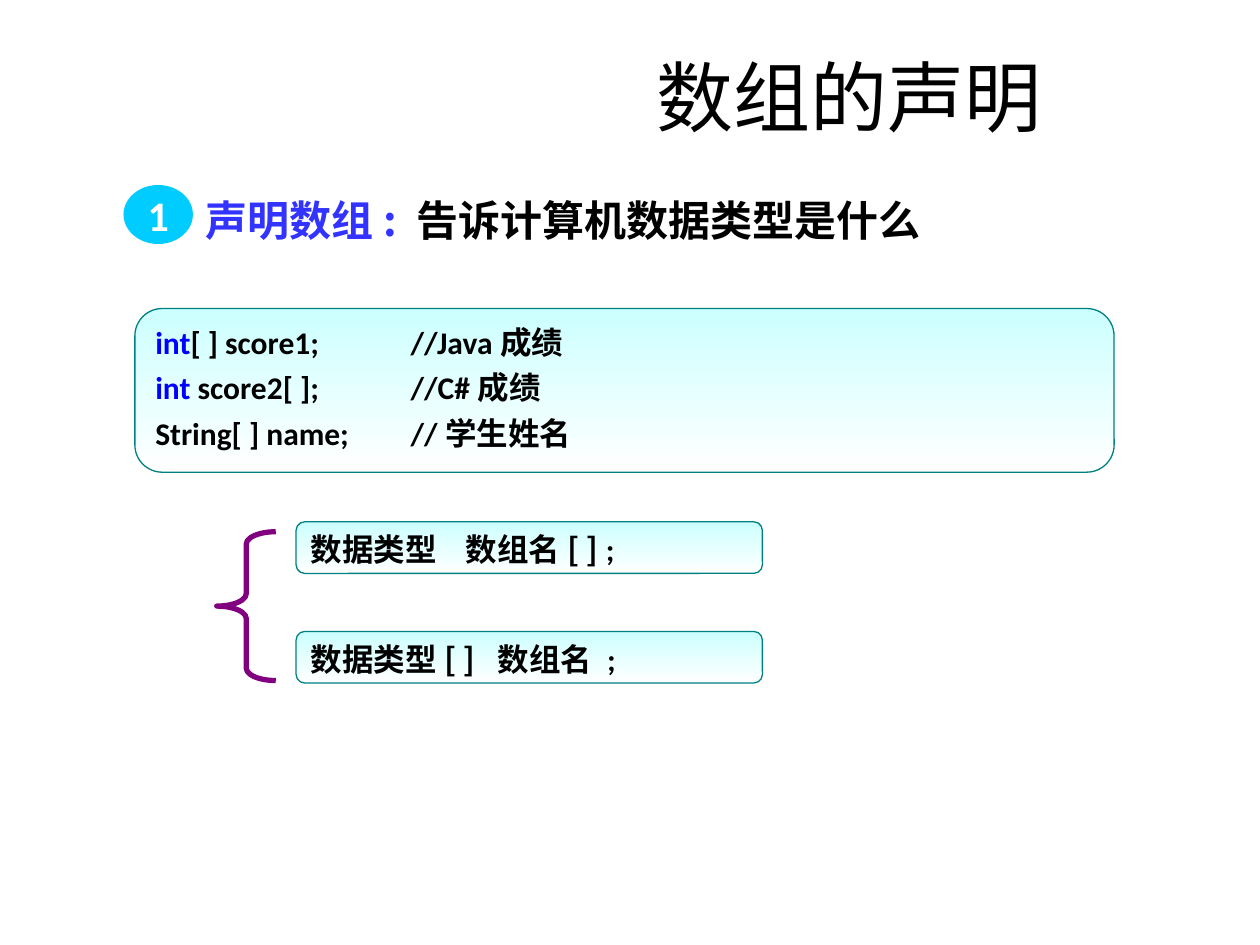
from dataclasses import dataclass

from lxml.etree import SubElement
from pptx import Presentation
from pptx.dml.color import RGBColor
from pptx.enum.shapes import MSO_SHAPE
from pptx.enum.text import MSO_ANCHOR, PP_ALIGN
from pptx.oxml.ns import qn
from pptx.util import Cm, Pt


@dataclass(frozen=True)
class Theme:
    latin: str = "Calibri"
    han: str = "Noto Sans CJK SC"
    ink: str = "000000"
    white: str = "FFFFFF"
    topic: str = "3333FF"
    key: str = "0000FF"
    badge: str = "00CCFF"
    pale: str = "CCFFFF"
    edge: str = "008080"
    brace: str = "800080"
    title: int = 44
    head: int = 24
    code: int = 18


T = Theme()


def rgb(code):
    return RGBColor.from_string(code)


def write(para, text, size=T.code, font=T.latin, color=T.ink, bold=True):
    """Add one run of text to a paragraph."""
    run = para.add_run()
    run.text = text
    run.font.size, run.font.bold = Pt(size), bold
    run.font.color.rgb = rgb(color)
    run.font.name = font
    SubElement(run.font._element, qn("a:ea"), typeface=T.han)


def set_tab(para, pos):
    tabs = SubElement(para._p.get_or_add_pPr(), qn("a:tabLst"))
    SubElement(tabs, qn("a:tab"), pos=str(Cm(pos)), algn="l")


def add_shape(slide, kind, box):
    shape = slide.shapes.add_shape(kind, *map(Cm, box))
    shape.shadow.inherit = False
    return shape


def add_panel(slide, box):
    """Draw a rounded, shaded panel and return its text frame."""
    panel = add_shape(slide, MSO_SHAPE.ROUNDED_RECTANGLE, box)
    panel.fill.gradient()
    panel.fill.gradient_angle = 270
    for stop, color in zip(panel.fill.gradient_stops, (T.pale, T.white)):
        stop.color.rgb = rgb(color)
    panel.line.color.rgb = rgb(T.edge)
    panel.line.width = Pt(0.75)
    frame = panel.text_frame
    frame.word_wrap = True
    frame.vertical_anchor = MSO_ANCHOR.TOP
    frame.paragraphs[0].alignment = PP_ALIGN.LEFT
    return frame


def add_title(slide, box):
    title = slide.shapes.title
    title.left, title.top, title.width, title.height = map(Cm, box)
    frame = title.text_frame
    frame.vertical_anchor = MSO_ANCHOR.MIDDLE
    frame.margin_left = Cm(0.5)
    para = frame.paragraphs[0]
    para.alignment = PP_ALIGN.CENTER
    write(para, "数组的声明", size=T.title, bold=False)


def add_head(slide, box):
    """Place the numbered badge and the heading beside it."""
    x, y, w, h = box
    side = 1.4
    text = slide.shapes.add_textbox(*map(Cm, (x + side, y, w - side, h)))
    text.text_frame.word_wrap = True
    para = text.text_frame.paragraphs[0]
    para.alignment = PP_ALIGN.JUSTIFY
    para.line_spacing = 1.35
    write(para, "声明数组: ", size=T.head, font=T.han, color=T.topic)
    write(para, "告诉计算机数据类型是什么", size=T.head, font=T.han)

    badge = add_shape(slide, MSO_SHAPE.OVAL, (x, y + 0.28, side, 1.19))
    badge.fill.solid()
    badge.fill.fore_color.rgb = rgb(T.badge)
    badge.line.fill.background()
    frame = badge.text_frame
    frame.word_wrap = False
    frame.vertical_anchor = MSO_ANCHOR.MIDDLE
    frame.paragraphs[0].alignment = PP_ALIGN.CENTER
    write(frame.paragraphs[0], "1", size=T.head, color=T.white)


def add_code(slide, box):
    lines = (
        ("int", "[ ] score1;", "//Java成绩"),
        ("int", " score2[ ];", "//C#成绩"),
        ("", "String[ ] name;", "//学生姓名"),
    )
    frame = add_panel(slide, box)
    for i, (key, code, note) in enumerate(lines):
        para = frame.add_paragraph() if i else frame.paragraphs[0]
        para.alignment = PP_ALIGN.LEFT
        if i:
            para.space_before = Pt(4.5)
        set_tab(para, 5.15)
        if key:
            write(para, key, color=T.key)
        write(para, f"{code}\t{note}")


def add_forms(slide, box):
    """Place the brace and the two forms of declaration it joins."""
    x, y, w, h = box
    inset, tall = 1.6, 1.04
    forms = (("数据类型\t数组名[ ] ", 3.12), ("数据类型[ ]\t数组名 ", 3.77))
    for i, (text, tab) in enumerate(forms):
        top = y + i * (h - tall)
        para = add_panel(slide, (x + inset, top, w - inset, tall)).paragraphs[0]
        set_tab(para, tab)
        write(para, text, font=T.han)
        write(para, ";")

    brace = add_shape(slide, MSO_SHAPE.LEFT_BRACE, (x, y + 0.2, 1.19, h - 0.25))
    brace.adjustments[0] = 0.21
    brace.fill.background()
    brace.line.color.rgb = rgb(T.brace)
    brace.line.width = Pt(3)


def main():
    deck = Presentation()
    deck.slide_width, deck.slide_height = Cm(25.4), Cm(19.05)
    slide = deck.slides.add_slide(deck.slide_layouts[5])
    add_title(slide, (8.61, 0.94, 16.79, 1.98))
    add_code(slide, (2.72, 6.22, 19.74, 3.3))
    add_head(slide, (2.49, 3.45, 20.6, 1.63))
    add_forms(slide, (4.37, 10.52, 11, 3.25))
    deck.save("out.pptx")


if __name__ == "__main__":
    main()
